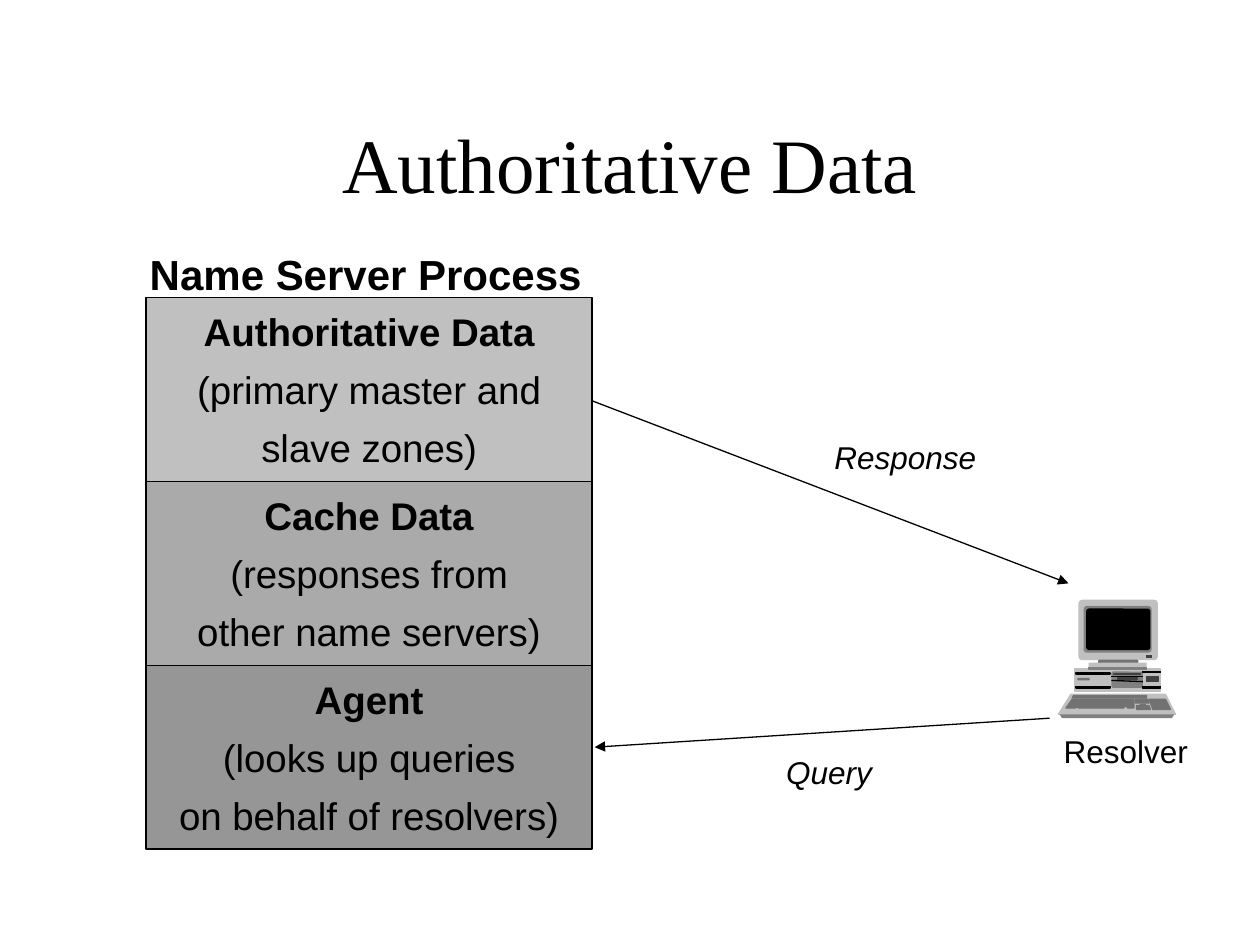
from lxml import etree
from pptx import Presentation
from pptx import util as u
from pptx.dml.color import RGBColor
from pptx.enum import shapes, text
from pptx.oxml.ns import qn

CELL = u.Inches(0.5)
COLUMNS, ROWS = 20, 15
DOT = u.Inches(0.01)
COMPUTER_LEFT, COMPUTER_TOP = 16.8 * CELL, 9.52 * CELL

COLORS = {
    "black": "000000",
    "charcoal": "404040",
    "key": "727272",
    "shade": "808080",
    "agent": "969696",
    "cache": "AAAAAA",
    "silver": "C0C0C0",
}


def color(name):
    return RGBColor.from_string(COLORS[name])


def grid(*cells):
    return [u.Emu(round(cell * CELL)) for cell in cells]


def dots(*places):
    origins = (COMPUTER_LEFT, COMPUTER_TOP)
    return [u.Emu(round(origins[i % 2] + place * DOT)) for i, place in enumerate(places)]


def write_text(shape, lines, size=18, font="Arial", bold_first=False, italic=False,
               align=text.PP_ALIGN.CENTER, space=0, wrap=False):
    frame = shape.text_frame
    frame.word_wrap = wrap
    frame.vertical_anchor = text.MSO_ANCHOR.MIDDLE
    for index, line in enumerate(lines):
        paragraph = frame.paragraphs[0] if index == 0 else frame.add_paragraph()
        paragraph.text = line
        paragraph.alignment = align
        paragraph.space_before = u.Pt(space if index else 0)
        paragraph.font.size = u.Pt(size)
        paragraph.font.name = font
        paragraph.font.bold = bold_first and index == 0
        paragraph.font.italic = italic
        paragraph.font.color.rgb = color("black")


def paint(shape, fill, line=None):
    shape.shadow.inherit = False
    shape.fill.solid()
    shape.fill.fore_color.rgb = color(fill)
    if line:
        shape.line.color.rgb = color(line)
        shape.line.width = u.Pt(0.75)
    else:
        shape.line.fill.background()


def add_label(slide, place, words, **style):
    write_text(slide.shapes.add_textbox(*grid(*place)), [words], **style)


def add_line(parent, start, end, arrow=False):
    connector = parent.shapes.add_connector(shapes.MSO_CONNECTOR.STRAIGHT, *start, *end)
    connector.line.color.rgb = color("black")
    connector.line.width = u.Pt(0.75)
    if arrow:
        etree.SubElement(connector.line._get_or_add_ln(), qn("a:tailEnd"), type="triangle")
    etree.SubElement(connector._element.spPr, qn("a:effectLst"))


def add_panel(group, place, fill, lined=True, rounding=0):
    left, top, width, height = place
    panel = group.shapes.add_shape(shapes.MSO_SHAPE.ROUNDED_RECTANGLE, *dots(left, top),
                                   round(width * DOT), round(height * DOT))
    panel.adjustments[0] = rounding
    paint(panel, fill, fill if lined else None)


def add_outline(group, points, fill, lined=True):
    builder = group.shapes.build_freeform(*points[0], scale=float(DOT))
    builder.add_line_segments(points[1:])
    paint(builder.convert_to_shape(*dots(0, 0)), fill, fill if lined else None)


def add_computer(slide):
    group = slide.shapes.add_group_shape()
    add_panel(group, (13, 55, 68, 18), "silver")
    for place, fill, rounding in [
        ((15, 62, 10, 2), "key", 0.5),
        ((42, 57, 25, 13), "shade", 0.12),
        ((16, 0, 63, 48), "silver", 0.06),
        ((20, 5, 54, 37), "shade", 0.07),
        ((22, 7, 51, 33), "black", 0.07),
    ]:
        add_panel(group, place, fill, lined=False, rounding=rounding)

    for left, top, width in [(14, 58, 27), (14, 69, 27), (67, 57, 14), (67, 69, 14)]:
        add_panel(group, (left, top, width, 1), "black")
    for place in [(44, 59, 21, 0), (47, 62, 16, 1)]:
        add_panel(group, place, "charcoal")
    for start, end in [((42, 61), (67, 61)), ((42, 64), (67, 65))]:
        add_line(group, dots(*start), dots(*end))
    add_panel(group, (70, 61, 9, 4), "charcoal")

    add_outline(group, [(10, 75), (85, 75), (93, 91), (0, 91)], "silver")
    add_outline(group, [(1, 91), (92, 91), (90, 94), (3, 94)], "shade", lined=False)
    for keys in [
        [(12, 76), (11, 78), (70, 78), (70, 76)],
        [(11, 79), (60, 79), (60, 86), (55, 86), (55, 85), (52, 85), (52, 86),
         (16, 86), (16, 85), (13, 86), (6, 86)],
        [(61, 79), (61, 82), (72, 82), (71, 79)],
        [(65, 83), (65, 84), (62, 84), (62, 87), (73, 87), (72, 84), (69, 84), (69, 83)],
        [(72, 79), (75, 87), (89, 87), (85, 79)],
    ]:
        add_outline(group, keys, "key")

    add_panel(group, (32, 48, 31, 5), "key", rounding=0.16)
    add_panel(group, (70, 44, 4, 2), "charcoal")
    add_panel(group, (24, 50, 46, 4), "silver", lined=False)
    add_panel(group, (24, 54, 46, 1), "shade")


def add_process(slide):
    left, top, width, height = 2.32, 4.72, 7.08, 2.92
    layers = [
        ("silver", ["Authoritative Data", "(primary master and", "slave zones)"]),
        ("cache", ["Cache Data", "(responses from", "other name servers)"]),
        ("agent", ["Agent", "(looks up queries", "on behalf of resolvers)"]),
    ]
    for row, (fill, lines) in enumerate(layers):
        layer = slide.shapes.add_shape(shapes.MSO_SHAPE.RECTANGLE,
                                       *grid(left, top + row * height, width, height))
        paint(layer, fill, "black")
        write_text(layer, lines, size=22, bold_first=True, space=6.6)
    add_label(slide, (2.18, 3.84, 7.26, 1), "Name Server Process", size=24,
              bold_first=True, align=text.PP_ALIGN.LEFT)


def add_title(slide, words):
    title = slide.shapes.title
    title.left, title.top, title.width, title.height = grid(1.5, 1.34, 17, 2.5)
    write_text(title, [words], size=44, font="Times New Roman", wrap=True)


def main():
    presentation = Presentation()
    presentation.slide_width, presentation.slide_height = grid(COLUMNS, ROWS)
    slide = presentation.slides.add_slide(presentation.slide_layouts[5])
    add_title(slide, "Authoritative Data")
    add_computer(slide)
    add_label(slide, (16.68, 11.52, 2.38, 0.8), "Resolver")
    add_line(slide, grid(16.66, 11.4), grid(9.44, 11.86), arrow=True)
    add_label(slide, (12.28, 11.86, 1.76, 0.8), "Query", italic=True)
    add_line(slide, grid(9.34, 6.34), grid(16.96, 9.26), arrow=True)
    add_label(slide, (13.04, 6.86, 2.66, 0.8), "Response", italic=True)
    add_process(slide)
    presentation.save("out.pptx")


if __name__ == "__main__":
    main()
